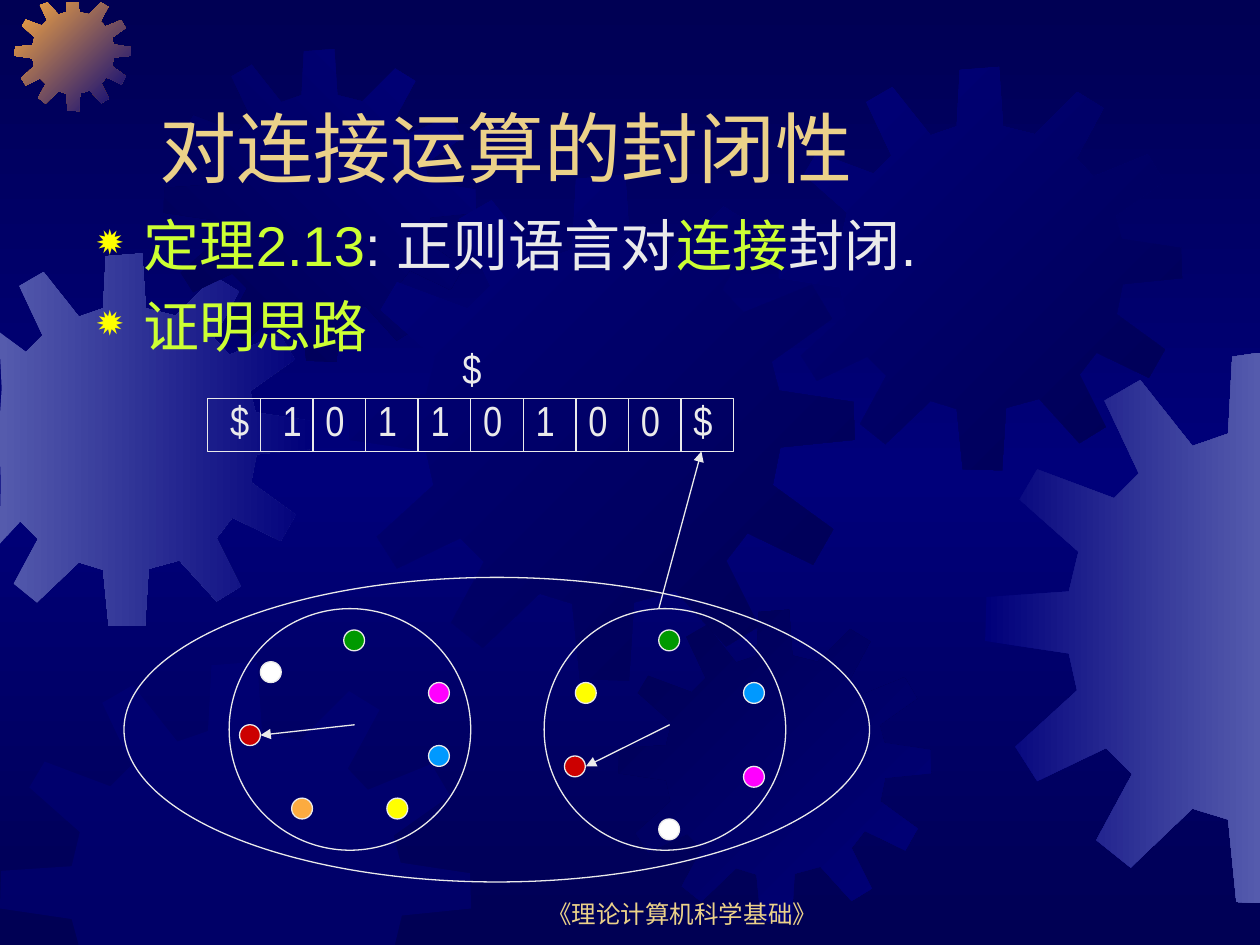
from copy import deepcopy

from lxml.etree import SubElement
from pptx import Presentation
from pptx.dml.color import RGBColor
from pptx.enum.shapes import MSO_CONNECTOR, MSO_SHAPE
from pptx.enum.text import MSO_ANCHOR, PP_ALIGN
from pptx.oxml.ns import qn
from pptx.util import Cm, Pt

NAVY = RGBColor(0x00, 0x00, 0x54)
BLUE = RGBColor(0x00, 0x00, 0x7A)
STEEL = RGBColor(0x55, 0x5B, 0xAD)
ORANGE = RGBColor(0xFC, 0xAB, 0x40)
SAND = RGBColor(0xEB, 0xD1, 0x89)
LIME = RGBColor(0xCC, 0xFF, 0x33)
PALE = RGBColor(0xEA, 0xEA, 0xEA)
GREEN = RGBColor(0x00, 0x99, 0x00)
SKY = RGBColor(0x00, 0x99, 0xFF)
RED = RGBColor(0xCC, 0x00, 0x00)
MAGENTA = RGBColor(0xFF, 0x00, 0xFF)
WHITE = RGBColor(0xFF, 0xFF, 0xFF)
YELLOW = RGBColor(0xFF, 0xFF, 0x00)

WIDTH, HEIGHT = 25.4, 19.05

presentation = Presentation()
presentation.slide_width, presentation.slide_height = Cm(WIDTH), Cm(HEIGHT)
slide = presentation.slides.add_slide(presentation.slide_layouts[6])
shapes = slide.shapes


def add_outline(kind, left, top, width, height, color=None):
    shape = shapes.add_shape(kind, Cm(left), Cm(top), Cm(width), Cm(height))
    shape.shadow.inherit = False
    shape.line.color.rgb = PALE
    shape.line.width = Pt(0.75)
    if color is None:
        shape.fill.background()
    else:
        shape.fill.solid()
        shape.fill.fore_color.rgb = color


def add_text(left, top, width, height, lines, size, font="Arial", anchor=MSO_ANCHOR.TOP):
    """Each line is a list of (text, color) runs."""
    box = shapes.add_textbox(Cm(left), Cm(top), Cm(width), Cm(height))
    frame = box.text_frame
    frame.word_wrap = True
    frame.vertical_anchor = anchor
    for index, runs in enumerate(lines):
        paragraph = frame.add_paragraph() if index else frame.paragraphs[0]
        for text, color in runs:
            run = paragraph.add_run()
            run.text = text
            run.font.size = Pt(size)
            run.font.name = font
            run.font.color.rgb = color
    return frame.paragraphs


# Background: dark at the top and bottom, lighter in the middle
background = slide.background.fill
background.gradient()
background.gradient_angle = 270
stop_list = slide.element.find(".//" + qn("a:gsLst"))
stop_list.append(deepcopy(stop_list[0]))
for stop, position, color in zip(background.gradient_stops, (0, 0.5, 1), (NAVY, BLUE, NAVY)):
    stop.position = position
    stop.color.rgb = color

# Gears: one outline on a 401-unit square, scaled and cut off at the slide edges
GEAR_UNITS = 401
GEAR_POINTS = [
    (255, 67), (223, 59), (219, 0), (180, 3), (177, 59), (151, 68),
    (113, 20), (87, 35), (112, 88), (94, 106), (38, 85), (25, 107),
    (68, 145), (61, 174), (1, 178), (0, 210), (61, 219), (67, 246),
    (22, 287), (38, 312), (88, 288), (107, 307), (81, 355), (106, 375),
    (151, 332), (177, 340), (183, 400), (222, 401), (226, 339), (259, 330),
    (299, 374), (325, 358), (299, 306), (316, 284), (368, 309), (384, 281),
    (336, 246), (342, 216), (401, 210), (400, 180), (341, 171), (335, 148),
    (383, 114), (367, 87), (313, 109), (296, 91), (323, 41), (297, 25),
]
GEARS = [  # left, top, size, first color, last color, clockwise angle
    (-1.24, 5.11, 7.52, STEEL, BLUE, 0),
    (0.3, -0.1, 2.34, ORANGE, BLUE, 45),
    (3.3, 0.99, 6.3, NAVY, BLUE, 315),
    (7.04, 3.53, 10.19, BLUE, NAVY, 45),
    (0, 13.34, 9.5, BLUE, None, 0),
    (12.47, 12.29, 6.3, NAVY, BLUE, 45),
    (15.7, 1.35, 8.13, BLUE, NAVY, 45),
    (19.86, 7.11, 11.1, BLUE, STEEL, 0),
]
for left, top, size, first, last, angle in GEARS:
    points = [
        (Cm(min(max(left + x * size / GEAR_UNITS, 0), WIDTH)),
         Cm(min(max(top + y * size / GEAR_UNITS, 0.05), HEIGHT)))
        for x, y in GEAR_POINTS
    ]
    builder = shapes.build_freeform(*points[0])
    builder.add_line_segments(points[1:], close=True)
    gear = builder.convert_to_shape()
    gear.shadow.inherit = False
    gear.line.fill.background()
    if last is None:
        gear.fill.solid()
        gear.fill.fore_color.rgb = first
        SubElement(gear.element.find(".//" + qn("a:srgbClr")), qn("a:alpha"), val="50000")
    else:
        gear.fill.gradient()
        gear.fill.gradient_angle = (360 - angle) % 360
        for stop, color in zip(gear.fill.gradient_stops, (first, last)):
            stop.color.rgb = color

# Footer and title
footer = add_text(9.73, 17.58, 8.05, 1.27, [[("《理论计算机科学基础》", SAND)]], 14,
                  anchor=MSO_ANCHOR.BOTTOM)
footer[0].alignment = PP_ALIGN.CENTER
add_text(2.97, 0.84, 21.59, 3.18, [[("对连接运算的封闭性", SAND)]], 44,
         anchor=MSO_ANCHOR.BOTTOM)

# Theorem and proof idea
bullets = add_text(1.7, 4.11, 21.59, 3.6, [
    [("定理2.13", LIME), (": 正则语言对", PALE), ("连接", LIME), ("封闭.", PALE)],
    [("证明思路", LIME)],
], 32)
for paragraph in bullets:
    properties = paragraph._p.get_or_add_pPr()
    properties.set("marL", str(Cm(0.95)))
    properties.set("indent", str(-Cm(0.95)))
    bullet_color = SubElement(properties, qn("a:buClr"))
    SubElement(bullet_color, qn("a:srgbClr"), val=str(YELLOW))
    SubElement(properties, qn("a:buSzPct"), val="80000")
    SubElement(properties, qn("a:buChar"), char="✹")
bullets[1].space_before = Pt(8)

# Input tape
CELL = 1.06
for index, symbol in enumerate("$10110100$"):
    left = 4.19 + index * CELL
    add_outline(MSO_SHAPE.RECTANGLE, left, 8.04, CELL, CELL)
    shift = 0.2 if index < 2 else 0
    add_text(left + shift, 7.83, CELL, 1.27, [[(symbol, PALE)]], 24, "Arial Narrow")
add_text(9.07, 6.77, CELL, 1.27, [[("$", PALE)]], 24, "Arial Narrow")

# Combined machine around the two component machines
add_outline(MSO_SHAPE.OVAL, 2.5, 11.64, 15.03, 6.14)
for left in (4.62, 10.97):
    add_outline(MSO_SHAPE.OVAL, left, 12.27, 4.87, 4.87)

# States
STATES = [
    (6.93, 12.7, GREEN), (8.64, 13.76, MAGENTA), (8.64, 15.03, SKY), (7.8, 16.09, YELLOW),
    (5.88, 16.09, ORANGE), (4.83, 14.61, RED), (5.25, 13.34, WHITE),
    (13.28, 12.7, GREEN), (14.99, 13.76, SKY), (14.99, 15.45, MAGENTA),
    (13.28, 16.51, WHITE), (11.38, 15.24, RED), (11.6, 13.76, YELLOW),
]
for left, top, color in STATES:
    add_outline(MSO_SHAPE.OVAL, left, top, 0.42, 0.42, color)

# Reading head and current-state pointers
ARROWS = [
    (13.28, 12.27, 14.14, 9.1),
    (7.15, 14.61, 5.25, 14.82),
    (13.5, 14.61, 11.81, 15.45),
]
for ends in ARROWS:
    arrow = shapes.add_connector(MSO_CONNECTOR.STRAIGHT, *[Cm(value) for value in ends])
    arrow.line.color.rgb = PALE
    arrow.line.width = Pt(0.75)
    SubElement(arrow.line._get_or_add_ln(), qn("a:tailEnd"), type="triangle")
    SubElement(arrow.element.spPr, qn("a:effectLst"))

presentation.save("out.pptx")
